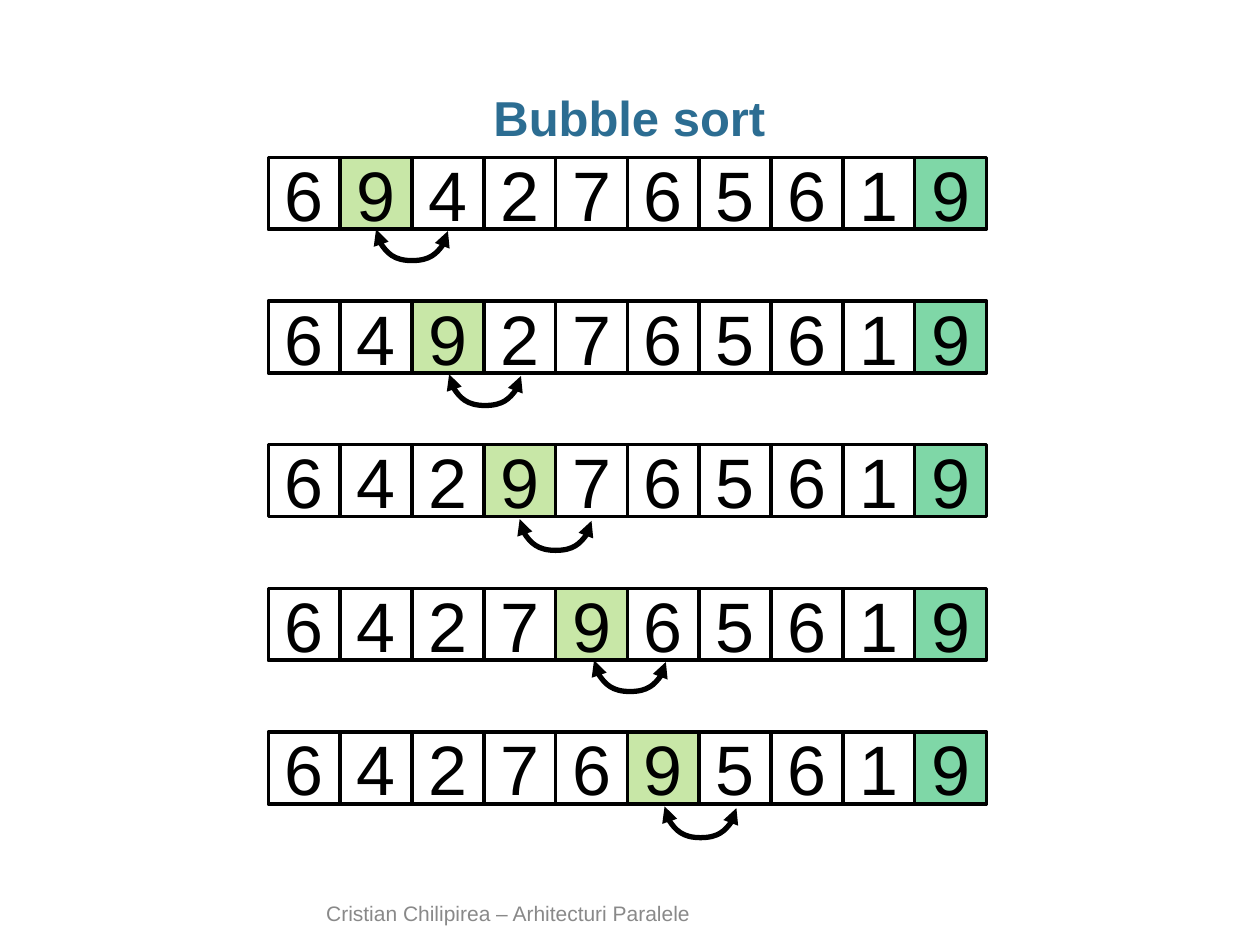
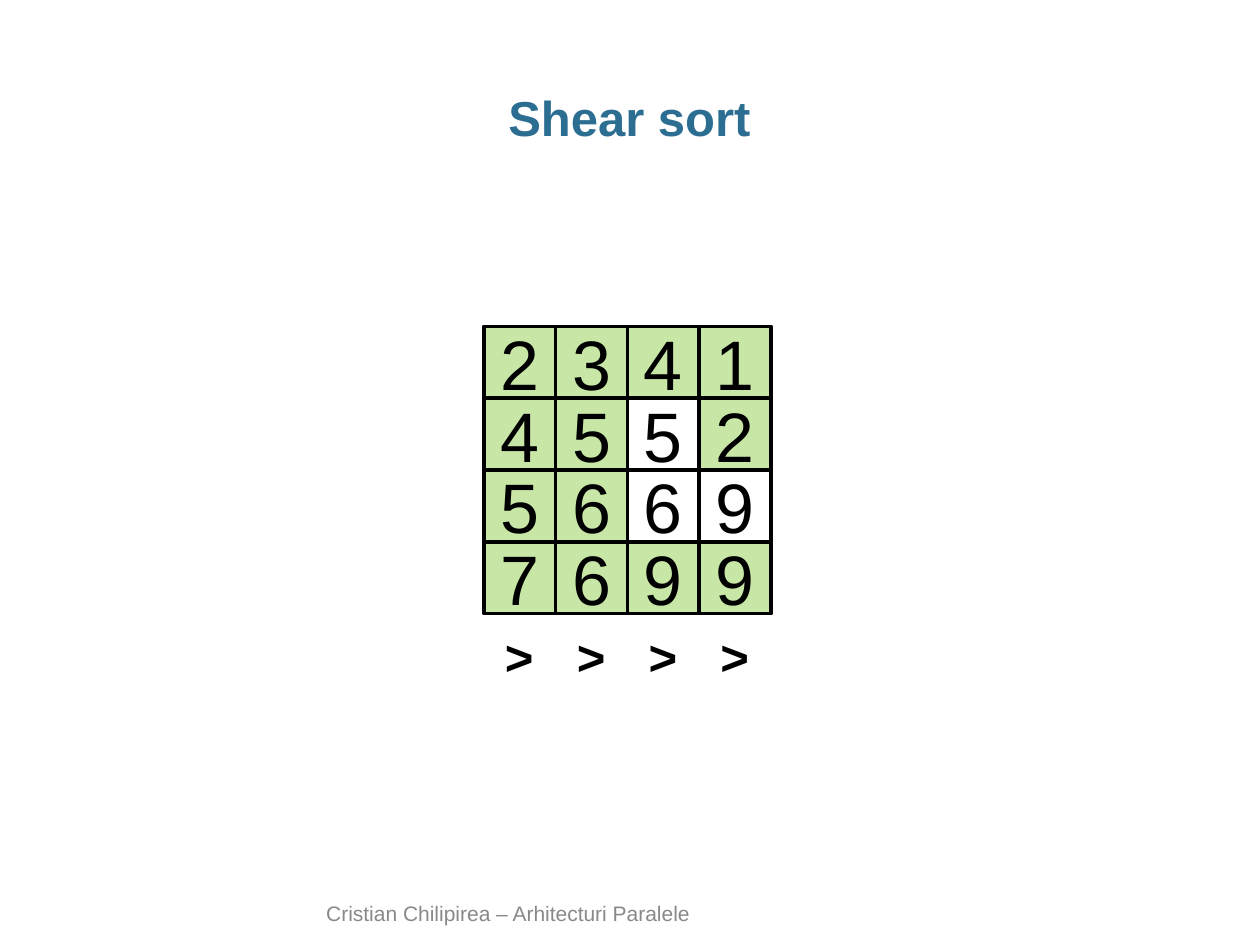
from lxml.etree import SubElement
from pptx import Presentation
from pptx.dml.color import RGBColor
from pptx.enum.shapes import MSO_CONNECTOR, MSO_SHAPE
from pptx.enum.text import MSO_ANCHOR, PP_ALIGN
from pptx.oxml.ns import qn
from pptx.util import Inches, Pt

FONT = "Arial"
BLACK, BLUE, GREY = "000000", "2C6D92", "898989"
LIME, GREEN = "92D050", "00B050"
FOOTER = "Cristian Chilipirea – Arhitecturi Paralele"

STEPS = [
    ("6942765619", 1, 0, 0),
    ("6492765619", 2, 0.01, 0.01),
    ("6429765619", 3, 0, 0.02),
    ("6427965619", 4, 0.02, 0),
    ("6427695619", 5, 0.01, 0.02),
]
MESH = ["2341", "4552", "5669", "7699"]
PLAIN = {(1, 2), (2, 2), (2, 3)}
SIGNS = ">>>>"

CELL = 0.57
LEFT = 2.13
BARS = 1.25
GRID = 2.59
FIRST = 3
DIP = 18
RISE = Pt(1)


def tint(text):
    return RGBColor.from_string(text)


def write(frame, text, size, color, bold=False, align=None):
    para = frame.paragraphs[0]
    para.alignment = align
    run = para.add_run()
    run.text = text
    font = run.font
    font.name, font.size, font.bold = FONT, Pt(size), bold
    font.color.rgb = tint(color)
    return para


def label(slide, box, wrap=True):
    frame = slide.shapes.add_textbox(*map(Inches, box)).text_frame
    frame.word_wrap = wrap
    return frame


def page(deck, title):
    slide = deck.slides.add_slide(deck.slide_layouts[6])
    foot = label(slide, (2.49, 7.16, 5.02, 0.24))
    foot.vertical_anchor = MSO_ANCHOR.BOTTOM
    write(foot, FOOTER, 12, GREY)
    head = label(slide, (0.34, 0.68, 9.31, 0.5))
    head.margin_left = head.margin_right = 0
    para = write(head, title, 28, BLUE, True, PP_ALIGN.CENTER)
    para.line_spacing = 0.95
    return slide


def cell(slide, col, top, text, color=None):
    box = (LEFT + col * CELL, top, CELL, CELL)
    shape = slide.shapes.add_shape(MSO_SHAPE.RECTANGLE, *map(Inches, box))
    shape.shadow.inherit = False
    if color:
        shape.fill.solid()
        shape.fill.fore_color.rgb = tint(color)
        shade = next(shape.element.spPr.iter(qn("a:srgbClr")))
        SubElement(shade, qn("a:alpha"), val="50000")
    else:
        shape.fill.background()
    shape.line.color.rgb = tint(BLACK)
    shape.line.width = Pt(2)
    shape.text_frame.vertical_anchor = MSO_ANCHOR.MIDDLE
    write(shape.text_frame, text, 40, BLACK, align=PP_ALIGN.CENTER)


def swap(slide, start, top):
    span = Inches(CELL)
    mid = Inches(start) + span // 2
    base = Inches(top) + RISE // 2
    curve = slide.shapes.add_connector(
        MSO_CONNECTOR.CURVE,
        mid + RISE // 2, base - span // 2,
        mid - RISE // 2, base + span // 2)
    curve.line.color.rgb = tint(BLACK)
    curve.line.width = Pt(3)
    props = curve.element.spPr
    props.find(qn("a:xfrm")).set("rot", str(270 * 60000))
    guides = next(props.iter(qn("a:avLst")))
    SubElement(guides, qn("a:gd"), name="adj1", fmla=f"val {DIP * 100000}")
    for end in ("a:headEnd", "a:tailEnd"):
        SubElement(props.find(qn("a:ln")), qn(end), type="triangle")
    SubElement(props, qn("a:effectLst"))


def bubble(deck):
    slide = page(deck, "Bubble sort")
    for row, (values, spot, shift, drop) in enumerate(STEPS):
        top = BARS + row * 2 * CELL
        marks = {spot: LIME, len(values) - 1: GREEN}
        for col, value in enumerate(values):
            cell(slide, col, top, value, marks.get(col))
        start = LEFT + (spot + 0.5) * CELL + shift
        swap(slide, start, top + CELL + drop)


def shear(deck):
    slide = page(deck, "Shear sort")
    for row, values in enumerate(MESH):
        for col, value in enumerate(values):
            color = None if (row, col) in PLAIN else LIME
            cell(slide, FIRST + col, GRID + row * CELL, value, color)
    low = GRID + len(MESH) * CELL + 0.05
    for col, sign in enumerate(SIGNS):
        left = LEFT + (FIRST + col) * CELL + 0.07
        write(label(slide, (left, low, 0.43, CELL), False), sign, 28, BLACK, True)


def main():
    deck = Presentation()
    deck.slide_width, deck.slide_height = Inches(10), Inches(7.5)
    bubble(deck)
    shear(deck)
    deck.save("out.pptx")


if __name__ == "__main__":
    main()
